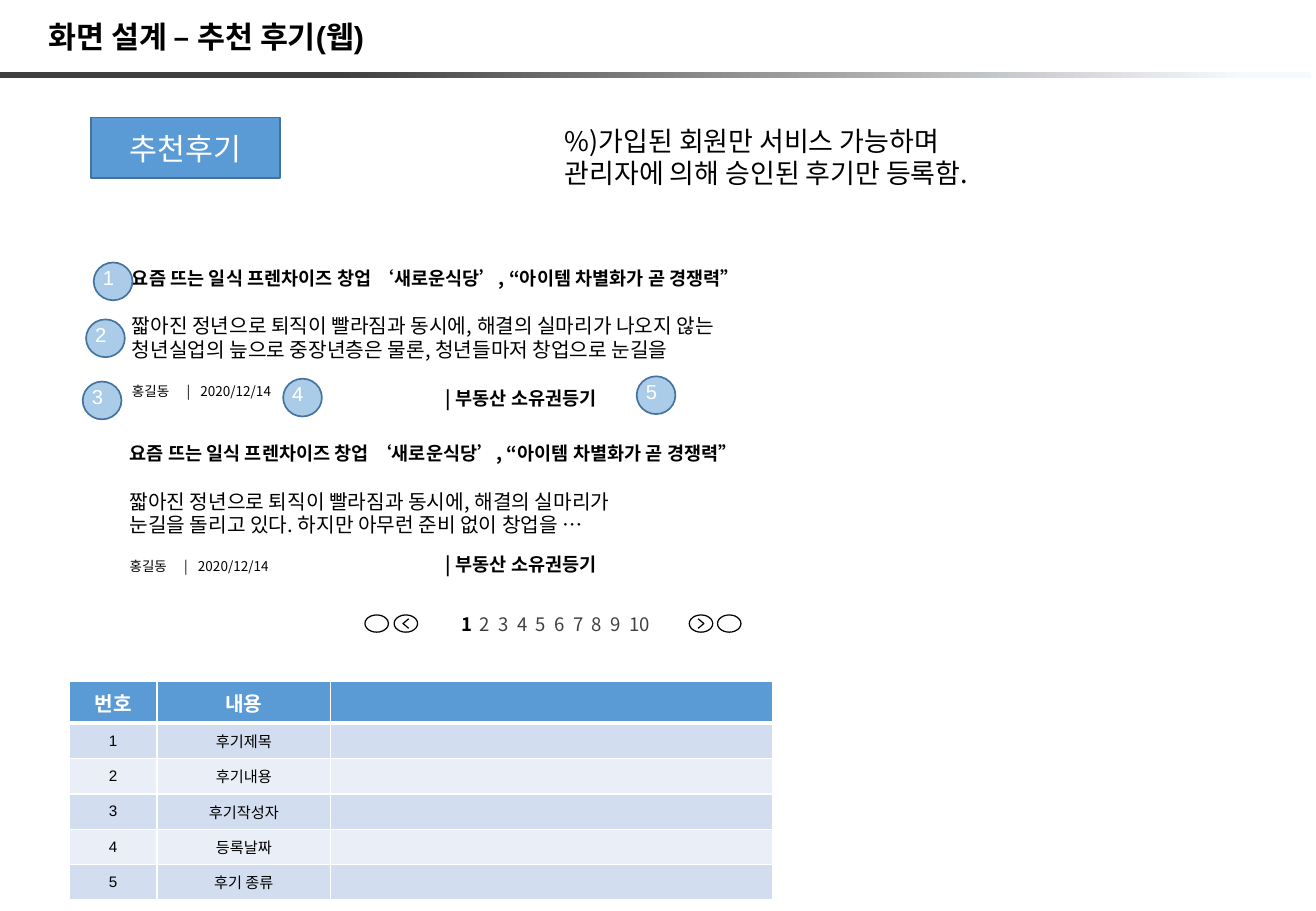
from lxml.etree import SubElement
from pptx import Presentation
from pptx.dml.color import RGBColor
from pptx.enum.shapes import MSO_SHAPE as Shape
from pptx.enum.text import MSO_ANCHOR as Anchor, PP_ALIGN as Align
from pptx.oxml.ns import qn
from pptx.util import Cm, Pt

NOTO = "Noto Sans CJK KR"
BLUE, DARK_BLUE, BLACK, WHITE, GRAY = "5B9BD5", "43739E", "000000", "FFFFFF", "404040"

REVIEW_TITLE = "요즘 뜨는 일식 프렌차이즈 창업 ‘새로운식당’, “아이템 차별화가 곧 경쟁력”"
REVIEWS = [  # left, top, body, top of the category label
    (2.51, 5.33, "짧아진 정년으로 퇴직이 빨라짐과 동시에, 해결의 실마리가 나오지 않는\v"
     "청년실업의 늪으로 중장년층은 물론, 청년들마저 창업으로 눈길을", 7.77),
    (2.46, 8.99, "짧아진 정년으로 퇴직이 빨라짐과 동시에, 해결의 실마리가\n"
     "눈길을 돌리고 있다. 하지만 아무런 준비 없이 창업을 …", 11.25),
]
BADGES = [(1.96, 5.49), (1.8, 6.68), (1.73, 7.98), (5.92, 7.92), (13.31, 7.87)]
ITEMS = ["후기제목", "후기내용", "후기작성자", "등록날짜", "후기 종류"]


def color(hex_code):
    return RGBColor.from_string(hex_code)


def set_font(font, size, name, hex_code=BLACK, bold=False):
    font.size, font.name, font.bold = Pt(size), name, bold
    font.color.rgb = color(hex_code)


def add_tabs(paragraph, stops):
    tab_list = SubElement(paragraph._p.get_or_add_pPr(), qn("a:tabLst"))
    for stop in stops:
        SubElement(tab_list, qn("a:tab"), pos=str(Cm(stop)), algn="l")


def add_text(slide, box, text, size, name=NOTO, hex_code=BLACK, bold=False,
             anchor=Anchor.MIDDLE, spacing=None, tabs=()):
    frame = slide.shapes.add_textbox(*map(Cm, box)).text_frame
    frame.word_wrap = True
    frame.vertical_anchor = anchor
    frame.text = text
    for paragraph in frame.paragraphs:
        if spacing:
            paragraph.line_spacing = spacing
        if tabs:
            add_tabs(paragraph, tabs)
        set_font(paragraph.font, size, name, hex_code, bold)
    return frame


def add_shape(slide, kind, box, fill=None, line=None, width=1):
    shape = slide.shapes.add_shape(kind, *map(Cm, box))
    shape.shadow.inherit = False
    if fill:
        shape.fill.solid()
        shape.fill.fore_color.rgb = color(fill)
    else:
        shape.fill.background()
    if line:
        shape.line.color.rgb = color(line)
        shape.line.width = Pt(width)
    else:
        shape.line.fill.background()
    return shape


def add_header(slide):
    add_text(slide, (0.76, 0.1, 19.05, 1.4), "화면 설계 – 추천 후기(웹)", 18, "Arial",
             bold=True, spacing=0.9)
    rule = add_shape(slide, Shape.RECTANGLE, (0, 1.5, 27.41, 0.13))
    rule.fill.gradient()
    rule.fill.gradient_angle = 0
    for stop, position, shade in zip(rule.fill.gradient_stops, (0.26, 0.95), (GRAY, "F7FAFD")):
        stop.position = position
        stop.color.rgb = color(shade)


def add_sign(slide):
    sign = add_shape(slide, Shape.RECTANGLE, (1.9, 2.46, 3.96, 1.27), BLUE, DARK_BLUE)
    sign.text_frame.text = "추천후기"
    sign.text_frame.vertical_anchor = Anchor.MIDDLE
    label = sign.text_frame.paragraphs[0]
    label.alignment = Align.CENTER
    set_font(label.font, 18, "Calibri", WHITE)


def add_review(slide, left, top, body, category_top):
    add_text(slide, (left, top, 22.3, 0.99), REVIEW_TITLE, 11, bold=True)
    add_text(slide, (left, top + 0.99, 22.3, 1.5), body, 12, spacing=Pt(14.2))
    add_text(slide, (left, top + 2.46, 22.3, 0.76), "홍길동\t|\t2020/12/14", 8,
             tabs=(1.14, 1.43))
    add_text(slide, (9.07, category_top, 4.22, 1.09), "| 부동산 소유권등기", 11, bold=True)


def add_badge(slide, number, left, top):
    disc = add_shape(slide, Shape.OVAL, (left, top, 0.81, 0.79), BLUE, DARK_BLUE)
    tint = disc.fill._xPr.find(qn("a:solidFill"))[0]
    SubElement(tint, qn("a:alpha"), val="51000")
    add_text(slide, (left - 0.06, top - 0.07, 0.86, 0.76), str(number), 12, "Arial", WHITE,
             anchor=Anchor.TOP)


def add_pager_button(slide, left, direction=0):
    """Ring with a chevron: -1 points left, 1 right, 0 leaves it empty."""
    top, width, height = 12.86, 0.49, 0.36
    add_shape(slide, Shape.OVAL, (left, top, width, height), line=BLACK, width=0.75)
    if direction:
        x, y = left + width / 2, top + height / 2
        tail = x - 0.06 * direction
        builder = slide.shapes.build_freeform(Cm(tail), Cm(y - 0.1))
        builder.add_line_segments([(Cm(x + 0.06 * direction), Cm(y)), (Cm(tail), Cm(y + 0.1))],
                                  close=False)
        chevron = builder.convert_to_shape()
        chevron.shadow.inherit = False
        chevron.fill.background()
        chevron.line.color.rgb = color(BLACK)
        chevron.line.width = Pt(0.75)


def add_pager(slide):
    pages = add_text(slide, (8.84, 12.73, 5.51, 0.64), "", 11, hex_code=GRAY,
                     tabs=[0.39 * n for n in range(1, 10)])
    pages.margin_left, pages.margin_right = Cm(0.8), Cm(0)
    line = pages.paragraphs[0]
    current = line.add_run()
    current.text = "1"
    set_font(current.font, 11, NOTO, BLACK, True)
    line.add_run().text = "".join(f"\t{n}" for n in range(2, 11))
    for left, direction in ((7.63, 0), (8.24, -1), (14.41, 1), (15, 0)):
        add_pager_button(slide, left, direction)


def add_cell_borders(cell, bottom):
    for side, width in (("L", 1), ("R", 1), ("T", 1), ("B", bottom)):
        edge = SubElement(cell._tc.get_or_add_tcPr(), qn(f"a:ln{side}"), w=str(Pt(width)))
        SubElement(SubElement(edge, qn("a:solidFill")), qn("a:srgbClr"), val=WHITE)


def fill_cell(cell, text, size, hex_code, bold, fill, bottom):
    add_cell_borders(cell, bottom)
    cell.fill.solid()
    cell.fill.fore_color.rgb = color(fill)
    cell.vertical_anchor = Anchor.MIDDLE
    cell.text = text
    paragraph = cell.text_frame.paragraphs[0]
    paragraph.alignment = Align.CENTER
    set_font(paragraph.font, size, "Arial", hex_code, bold)
    if not text:  # keeps an empty cell from stretching its row
        SubElement(paragraph._p, qn("a:endParaRPr"), sz=str(size * 100))


def add_legend_table(slide):
    rows = [("번호", "내용", "")] + [(str(n), item, "") for n, item in enumerate(ITEMS, 1)]
    widths = (1.83, 3.63, 9.25)
    table = slide.shapes.add_table(len(rows), len(widths), Cm(1.45), Cm(14.25),
                                   Cm(sum(widths)), Cm(4.55)).table
    for column, width in zip(table.columns, widths):
        column.width = Cm(width)
    for r, texts in enumerate(rows):
        table.rows[r].height = Cm(0.74 if r else 0.87)
        if r:
            style = (9, BLACK, False, "D2DEEF" if r % 2 else "EAEFF7", 1)
        else:
            style = (12, WHITE, True, BLUE, 3)
        for c, text in enumerate(texts):
            fill_cell(table.cell(r, c), text, *style)


def main():
    deck = Presentation()
    deck.slide_width, deck.slide_height = Cm(27.51), Cm(19.05)
    slide = deck.slides.add_slide(deck.slide_layouts[6])
    add_header(slide)
    add_legend_table(slide)
    add_sign(slide)
    add_text(slide, (11.56, 2.49, 12.01, 1.63),
             "%)가입된 회원만 서비스 가능하며\v관리자에 의해 승인된 후기만 등록함.", 16,
             anchor=Anchor.TOP, spacing=Pt(19))
    for review in REVIEWS:
        add_review(slide, *review)
    for number, place in enumerate(BADGES, 1):
        add_badge(slide, number, *place)
    add_pager(slide)
    deck.save("out.pptx")


if __name__ == "__main__":
    main()
